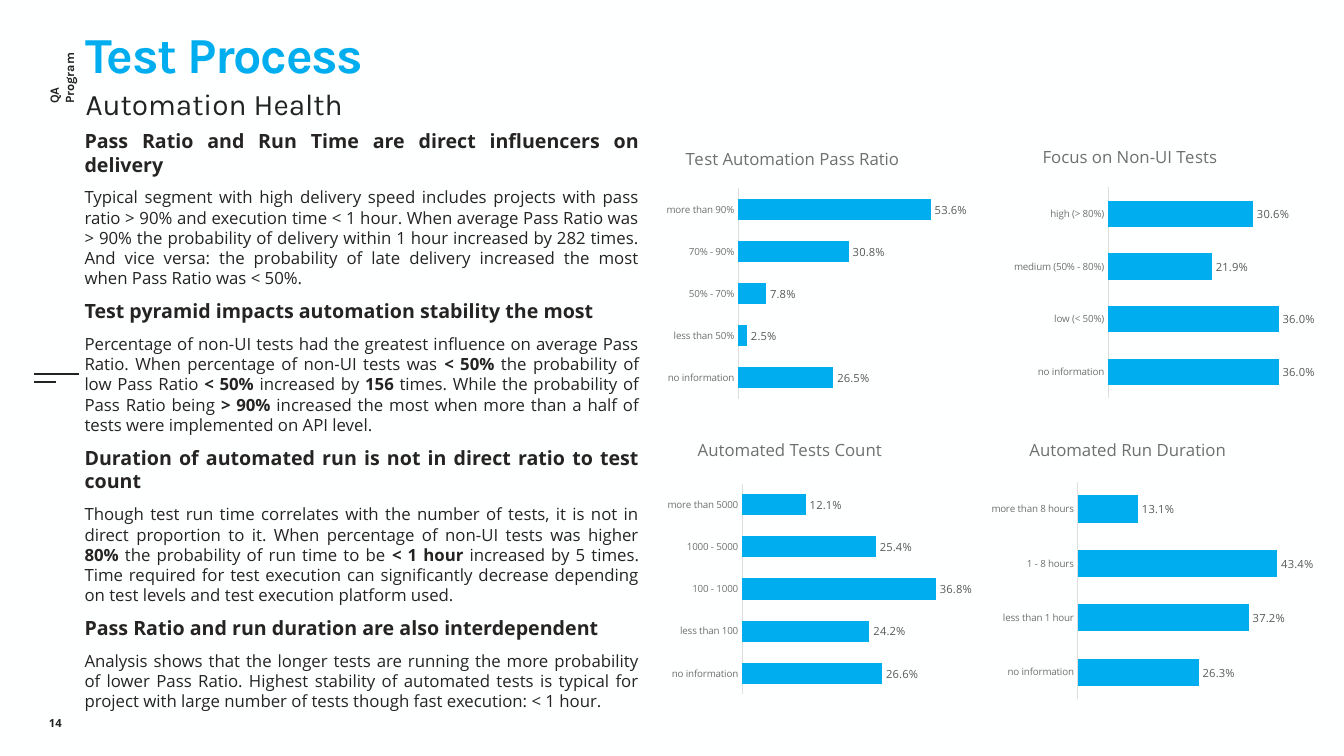
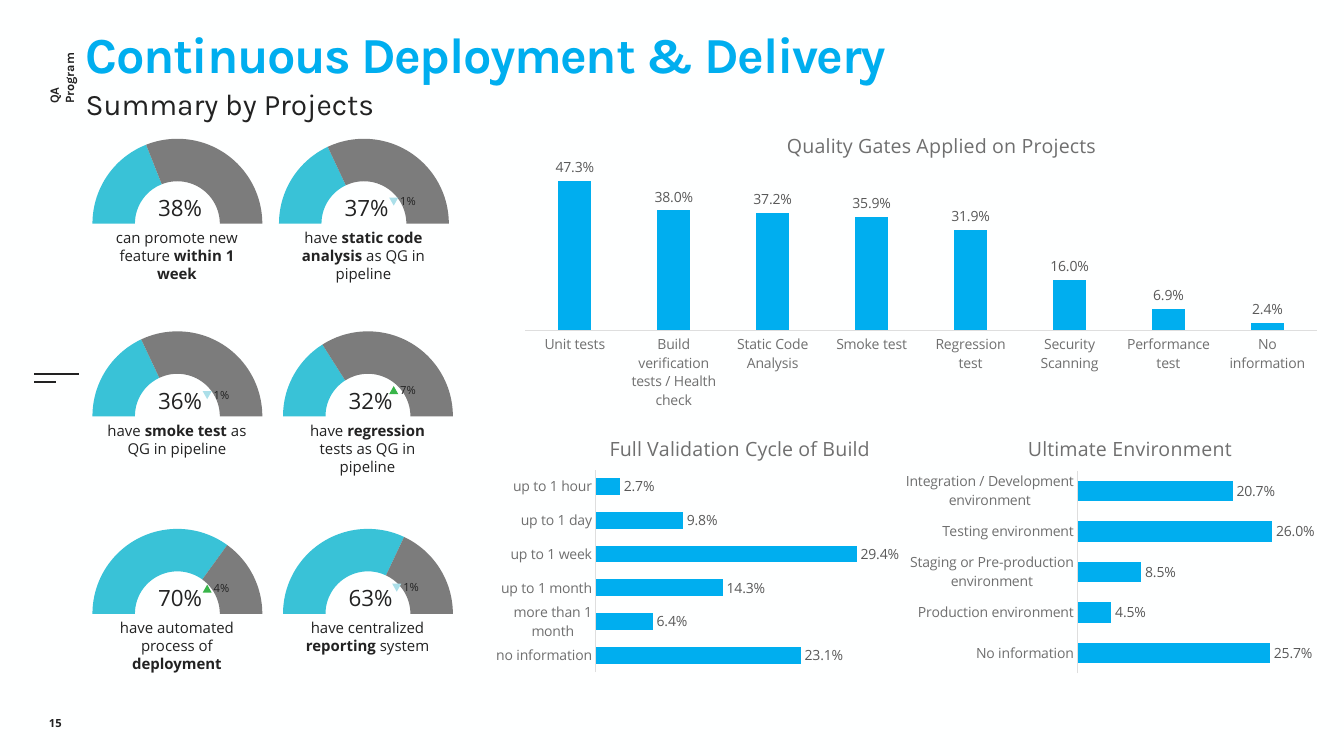
from dataclasses import dataclass
from typing import Optional

from lxml import etree
from pptx import Presentation
from pptx.chart.data import CategoryChartData
from pptx.dml.color import RGBColor
from pptx.enum import chart as charts, shapes, text
from pptx.oxml import parse_xml
from pptx.oxml.ns import nsdecls, qn
from pptx.util import Inches, Pt

# Shared style
HEADING_FONT, BODY_FONT = "Karla", "Open Sans"
BLUE, INK, BODY_INK = "00AEEF", "222222", "252423"
AXIS_INK, LABEL_INK, AXIS_LINE = "6F6F6F", "595959", "DEDEDE"
TEAL, GRAY, GREEN, PALE, PAPER = "39C2D7", "7C7C7C", "38B549", "ABDFE9", "FEFFFF"
BAR, COLUMN = charts.XL_CHART_TYPE.BAR_CLUSTERED, charts.XL_CHART_TYPE.COLUMN_CLUSTERED
CENTER, JUSTIFY = text.PP_ALIGN.CENTER, text.PP_ALIGN.JUSTIFY


@dataclass
class BarChart:
    title: str
    box: tuple[float, float, float, float]
    plot: tuple[float, float, float, float]
    title_at: tuple[float, float]
    values: dict[str, float]
    maximum: float
    kind: int = BAR
    gap: int = 100
    title_size: float = 14
    axis_size: float = 10
    label_size: float = 10


@dataclass
class Trend:
    label: str
    rising: bool
    left: float
    top: float


@dataclass
class Gauge:
    left: float
    top: float
    share: int
    percent: str
    caption: str
    trend: Optional[Trend] = None


def rgb(color: str) -> RGBColor:
    return RGBColor.from_string(color)


def style_font(font, size: float, color: str, name: str = BODY_FONT, bold: bool = False) -> None:
    font.size, font.name, font.bold = Pt(size), name, bold
    font.color.rgb = rgb(color)


def fill_paragraph(paragraph, content: str, size: float, color: str, font: str, bold: bool) -> None:
    """Write text in which ** switches bold on and off."""
    for index, part in enumerate(content.split("**")):
        if part:
            run = paragraph.add_run()
            run.text = part
            style_font(run.font, size, color, font, bold or index % 2 == 1)


def add_text(parent, content: str, box: tuple, *, size: float, color: str = INK,
             font: str = BODY_FONT, bold: bool = False, align=None, wrap: bool = True,
             inset: bool = True, middle: bool = False, line_spacing=None, tracking: int = 0,
             rotation: float = 0):
    shape = parent.add_textbox(*map(Inches, box))
    shape.rotation = rotation
    frame = shape.text_frame
    frame.word_wrap = wrap
    if middle:
        frame.vertical_anchor = text.MSO_ANCHOR.MIDDLE
    else:
        frame.auto_size = text.MSO_AUTO_SIZE.SHAPE_TO_FIT_TEXT
    if not inset:
        frame.margin_left = frame.margin_right = frame.margin_top = frame.margin_bottom = 0
    paragraph = frame.paragraphs[0]
    paragraph.alignment, paragraph.line_spacing = align, line_spacing
    fill_paragraph(paragraph, content, size, color, font, bold)
    if tracking:
        for run in paragraph.runs:
            run.font._element.set("spc", str(tracking))
    return shape


def add_rule(slide, left: float, right: float, top: float) -> None:
    line = slide.shapes.add_connector(shapes.MSO_CONNECTOR.STRAIGHT,
                                      *map(Inches, (left, top, right, top)))
    line.line.color.rgb, line.line.width = rgb(INK), Pt(1.5)
    etree.SubElement(line._element.spPr, qn("a:effectLst"))


def add_base_slide(presentation, number: int, title: str, subtitle: str):
    """Background, side label, rules, page number and headings."""
    slide = presentation.slides.add_slide(presentation.slide_layouts[6])
    slide.background.fill.solid()
    slide.background.fill.fore_color.rgb = rgb(PAPER)
    add_text(slide.shapes, "QA Program", (0.11, 0.58, 0.85, 0.25), size=9, font=HEADING_FONT,
             bold=True, wrap=False, rotation=270)
    add_rule(slide, 0.34, 0.78, 3.71)
    add_rule(slide, 0.34, 0.56, 3.79)
    add_text(slide.shapes, str(number), (0, 6.97, 1.1, 0.4), size=8, bold=True,
             align=CENTER, middle=True)
    add_text(slide.shapes, title, (0.85, 0.35, 10.01, 0.5), size=36, color=BLUE,
             font=HEADING_FONT, bold=True, inset=False, line_spacing=0.8, tracking=-100)
    add_text(slide.shapes, subtitle, (0.85, 0.67, 12.27, 0.48), size=21.3,
             font=HEADING_FONT, inset=False, line_spacing=1.5)
    return slide


def set_layout(element, index: int, **places: float) -> None:
    """Give a chart part a manual layout in fractions of the chart."""
    for old in element.findall(qn("c:layout")):
        element.remove(old)
    target = '<c:layoutTarget val="inner"/>' if "w" in places else ""
    values = "".join(f'<c:{key} val="{value:.4f}"/>' for key, value in places.items())
    element.insert(index, parse_xml(
        f'<c:layout {nsdecls("c")}><c:manualLayout>{target}<c:xMode val="edge"/>'
        f'<c:yMode val="edge"/>{values}</c:manualLayout></c:layout>'))


def add_chart(slide, kind, box: tuple, categories, values, number_format: str = "General"):
    data = CategoryChartData(number_format=number_format)
    data.categories = list(categories)
    data.add_series("Series 1", list(values))
    chart = slide.shapes.add_chart(kind, *map(Inches, box), data).chart
    chart.has_legend = False
    style_font(chart.font, 10, INK)
    return chart


def add_bar_chart(slide, item: BarChart) -> None:
    chart = add_chart(slide, item.kind, item.box, item.values, item.values.values(), "0.00%")
    left, top, width, height = item.box

    # Title and plot area
    chart.has_title = True
    fill_paragraph(chart.chart_title.text_frame.paragraphs[0], item.title,
                   item.title_size, AXIS_INK, BODY_FONT, False)
    set_layout(chart.chart_title._element, 1,
               x=(item.title_at[0] - left) / width, y=(item.title_at[1] - top) / height)
    plot_left, plot_top, plot_width, plot_height = item.plot
    set_layout(chart._chartSpace.chart.plotArea, 0,
               x=(plot_left - left) / width, y=(plot_top - top) / height,
               w=plot_width / width, h=plot_height / height)

    # Axes
    axis = chart.category_axis
    axis.reverse_order = item.kind == BAR
    axis.major_tick_mark = axis.minor_tick_mark = charts.XL_TICK_MARK.NONE
    axis.has_major_gridlines = False
    axis.format.line.color.rgb, axis.format.line.width = rgb(AXIS_LINE), Pt(0.75)
    style_font(axis.tick_labels.font, item.axis_size, AXIS_INK)
    scale = chart.value_axis
    scale.visible = scale.has_major_gridlines = False
    scale.minimum_scale, scale.maximum_scale = 0, item.maximum

    # Bars and labels
    plot = chart.plots[0]
    plot.gap_width, plot.vary_by_categories = item.gap, False
    fill = plot.series[0].format.fill
    fill.solid()
    fill.fore_color.rgb = rgb(BLUE)
    plot.has_data_labels = True
    labels = plot.data_labels
    labels.show_value = True
    labels.number_format, labels.number_format_is_linked = "0.0%", False
    labels.position = charts.XL_LABEL_POSITION.OUTSIDE_END
    style_font(labels.font, item.label_size, LABEL_INK)


def add_trend(slide, trend: Trend) -> None:
    group = slide.shapes.add_group_shape()
    marker = group.shapes.add_shape(shapes.MSO_SHAPE.ISOSCELES_TRIANGLE,
                                    *map(Inches, (trend.left, trend.top, 0.09, 0.08)))
    marker.rotation = 0 if trend.rising else 180
    marker.shadow.inherit = False
    marker.fill.solid()
    marker.fill.fore_color.rgb = rgb(GREEN if trend.rising else PALE)
    marker.line.fill.background()
    add_text(group.shapes, trend.label, (trend.left + 0.11, trend.top - 0.03, 0.16, 0.13),
             size=8, wrap=False, inset=False)


def add_gauge(slide, gauge: Gauge) -> None:
    """A half ring: the lower half of the doughnut has no fill."""
    left, top = gauge.left, gauge.top
    chart = add_chart(slide, charts.XL_CHART_TYPE.DOUGHNUT, (left, top, 1.96, 1.98),
                      "1234", (gauge.share, 50 - gauge.share, 50, 0))
    chart.has_title = False
    plot = chart.plots[0]
    ring = plot._element
    ring.find(qn("c:firstSliceAng")).set("val", "270")
    ring.find(qn("c:holeSize")).set("val", "80")
    set_layout(chart._chartSpace.chart.plotArea, 0, x=0.07, y=0.07, w=0.86, h=0.86)
    for index, color in enumerate((TEAL, GRAY, None, GREEN)):
        part = plot.series[0].points[index].format
        part.line.fill.background()
        if color:
            part.fill.solid()
            part.fill.fore_color.rgb = rgb(color)
        else:
            part.fill.background()
    add_text(slide.shapes, gauge.percent, (left + 0.69, top + 0.65, 0.64, 0.37),
             size=16, wrap=False)
    add_text(slide.shapes, gauge.caption, (left + 0.18, top + 0.99, 1.59, 0.64),
             size=10.7, align=CENTER)


# Content: heading and text pairs
FINDINGS = [
    ("Pass Ratio and Run Time are direct influencers on delivery",
     "Typical segment with high delivery speed includes projects with pass ratio > 90% and execution time < 1 hour. When average Pass Ratio was > 90% the probability of delivery within 1 hour increased by 282 times. And vice versa: the probability of late delivery increased the most when Pass Ratio was < 50%."),
    ("Test pyramid impacts automation stability the most",
     "Percentage of non-UI tests had the greatest influence on average Pass Ratio. When percentage of non-UI tests was **< 50%** the probability of low Pass Ratio **< 50%** increased by **156** times. While the probability of Pass Ratio being **> 90%** increased the most when more than a half of tests were implemented on API level."),
    ("Duration of automated run is not in direct ratio to test count",
     "Though test run time correlates with the number of tests, it is not in direct proportion to it. When percentage of non-UI tests was higher **80%** the probability of run time to be **< 1 hour** increased by 5 times. Time required for test execution can significantly decrease depending on test levels and test execution platform used."),
    ("Pass Ratio and run duration are also interdependent",
     "Analysis shows that the longer tests are running the more probability of lower Pass Ratio. Highest stability of automated tests is typical for project with large number of tests though fast execution: < 1 hour."),
]
SMALL = dict(title_size=12, axis_size=7, label_size=8)
HEALTH_CHARTS = [
    BarChart("Test Automation Pass Ratio", (6.27, 1.23, 3.47, 2.93), (7.32, 1.87, 2.14, 2.09),
             (6.77, 1.41), {"more than 90%": 0.536, "70% - 90%": 0.308, "50% - 70%": 0.078,
                            "less than 50%": 0.025, "no information": 0.265}, 0.6, **SMALL),
    BarChart("Focus on Non-UI Tests", (9.65, 1.22, 3.47, 2.93), (10.99, 1.86, 1.88, 2.09),
             (10.31, 1.39), {"high (> 80%)": 0.306, "medium (50% - 80%)": 0.219,
                             "low (< 50%)": 0.36, "no information": 0.36}, 0.4, **SMALL),
    BarChart("Automated Tests Count", (6.27, 4.16, 3.47, 2.93), (7.36, 4.8, 2.09, 2.09),
             (6.89, 4.3), {"more than 5000": 0.121, "1000 - 5000": 0.254, "100 - 1000": 0.368,
                           "less than 100": 0.242, "no information": 0.266}, 0.4, **SMALL),
    BarChart("Automated Run Duration", (9.65, 4.16, 3.47, 2.93), (10.69, 4.78, 2.28, 2.16),
             (10.18, 4.3), {"more than 8 hours": 0.131, "1 - 8 hours": 0.434,
                            "less than 1 hour": 0.372, "no information": 0.263}, 0.5, **SMALL),
]
DELIVERY_CHARTS = [
    BarChart("Ultimate Environment", (8.93, 4.12, 4.11, 2.61), (10.69, 4.67, 2.23, 2.01),
             (10.16, 4.26), {"Integration / Development environment": 0.207,
                             "Testing environment": 0.26,
                             "Staging or Pre-production environment": 0.085,
                             "Production environment": 0.045, "No information": 0.257}, 0.3),
    BarChart("Full Validation Cycle of Build", (4.84, 4.12, 4.24, 2.61), (5.91, 4.66, 2.64, 2.01),
             (6.01, 4.26), {"up to 1 hour": 0.027, "up to 1 day": 0.098, "up to 1 week": 0.294,
                            "up to 1 month": 0.143, "more than 1 month": 0.064,
                            "no information": 0.231}, 0.3),
    BarChart("Quality Gates Applied on Projects", (5.04, 1.16, 8.18, 2.97),
             (5.21, 1.71, 7.85, 1.57), (7.77, 1.26),
             {"Unit tests": 0.473, "Build verification tests / Health check": 0.38,
              "Static Code Analysis": 0.372, "Smoke test": 0.359, "Regression test": 0.319,
              "Security Scanning": 0.16, "Performance test": 0.069, "No information": 0.024},
             0.5, kind=COLUMN, gap=200),
]
GAUGES = [
    Gauge(0.78, 1.23, 19, "38%", "can promote new feature **within 1 week**"),
    Gauge(2.63, 1.23, 18, "37%", "have **static code analysis** as QG in pipeline",
          Trend("1%", False, 3.86, 1.96)),
    Gauge(0.78, 3.14, 18, "36%", "have **smoke test** as QG in pipeline",
          Trend("1%", False, 2.01, 3.88)),
    Gauge(2.67, 3.14, 16, "32%", "have **regression** tests as QG in pipeline",
          Trend("7%", True, 3.86, 3.83)),
    Gauge(0.78, 5.1, 35, "70%", "have automated process of **deployment**",
          Trend("4%", True, 2.01, 5.8)),
    Gauge(2.67, 5.1, 32, "63%", "have centralized **reporting** system",
          Trend("1%", False, 3.89, 5.79)),
]


def add_findings(slide) -> None:
    shape = add_text(slide.shapes, "", (0.74, 1.23, 5.7, 6.14), size=14)
    frame = shape.text_frame
    lines = [(line, index == 0) for pair in FINDINGS for index, line in enumerate(pair)]
    for index, (line, heading) in enumerate(lines):
        paragraph = frame.add_paragraph() if index else frame.paragraphs[0]
        paragraph.alignment = JUSTIFY
        paragraph.space_before, paragraph.space_after = Pt(4 if index else 0), Pt(4)
        fill_paragraph(paragraph, line, 14 if heading else 12, BODY_INK, BODY_FONT, heading)


def main() -> None:
    presentation = Presentation()
    presentation.slide_width, presentation.slide_height = Inches(13.33), Inches(7.5)

    health = add_base_slide(presentation, 14, "Test Process", "Automation Health")
    add_findings(health)
    for item in HEALTH_CHARTS:
        add_bar_chart(health, item)

    delivery = add_base_slide(presentation, 15, "Continuous Deployment & Delivery",
                              "Summary by Projects")
    for item in DELIVERY_CHARTS:
        add_bar_chart(delivery, item)
    for gauge in GAUGES:
        add_gauge(delivery, gauge)
    for gauge in GAUGES:
        if gauge.trend:
            add_trend(delivery, gauge.trend)
    presentation.save("out.pptx")


if __name__ == "__main__":
    main()
